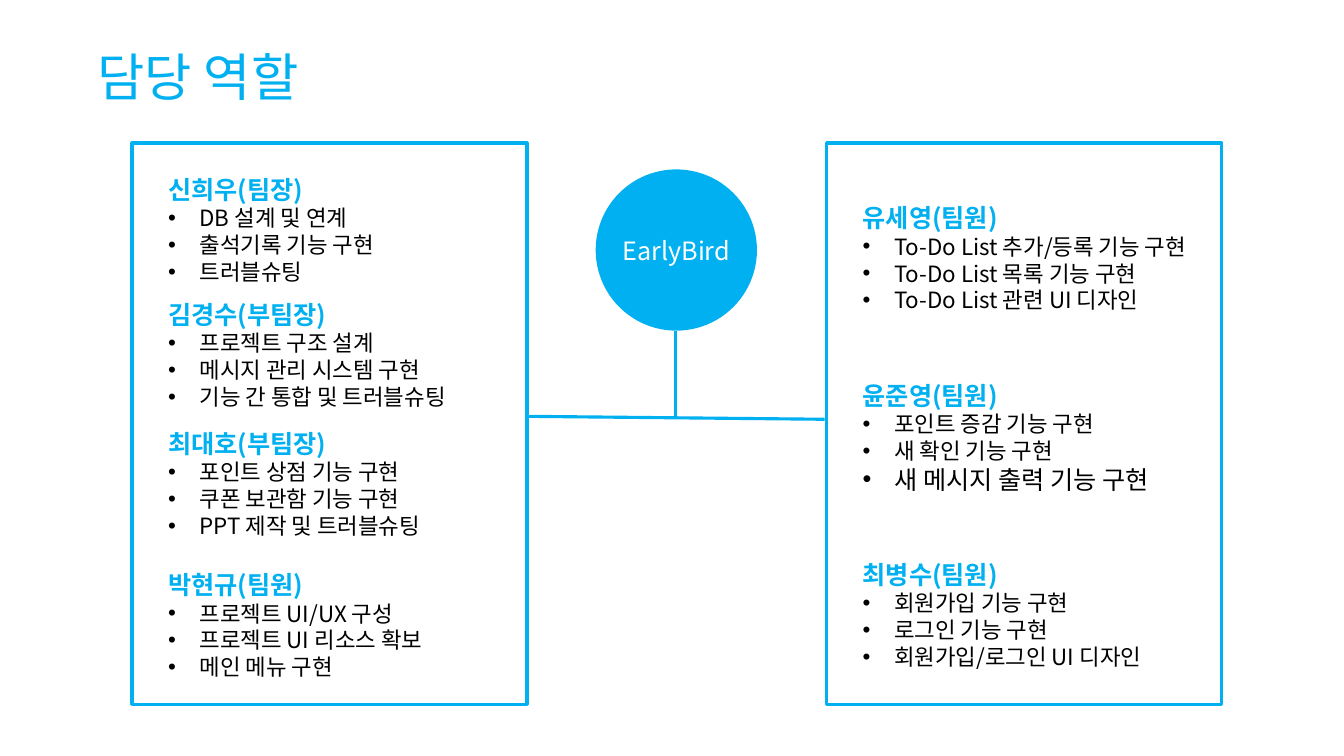
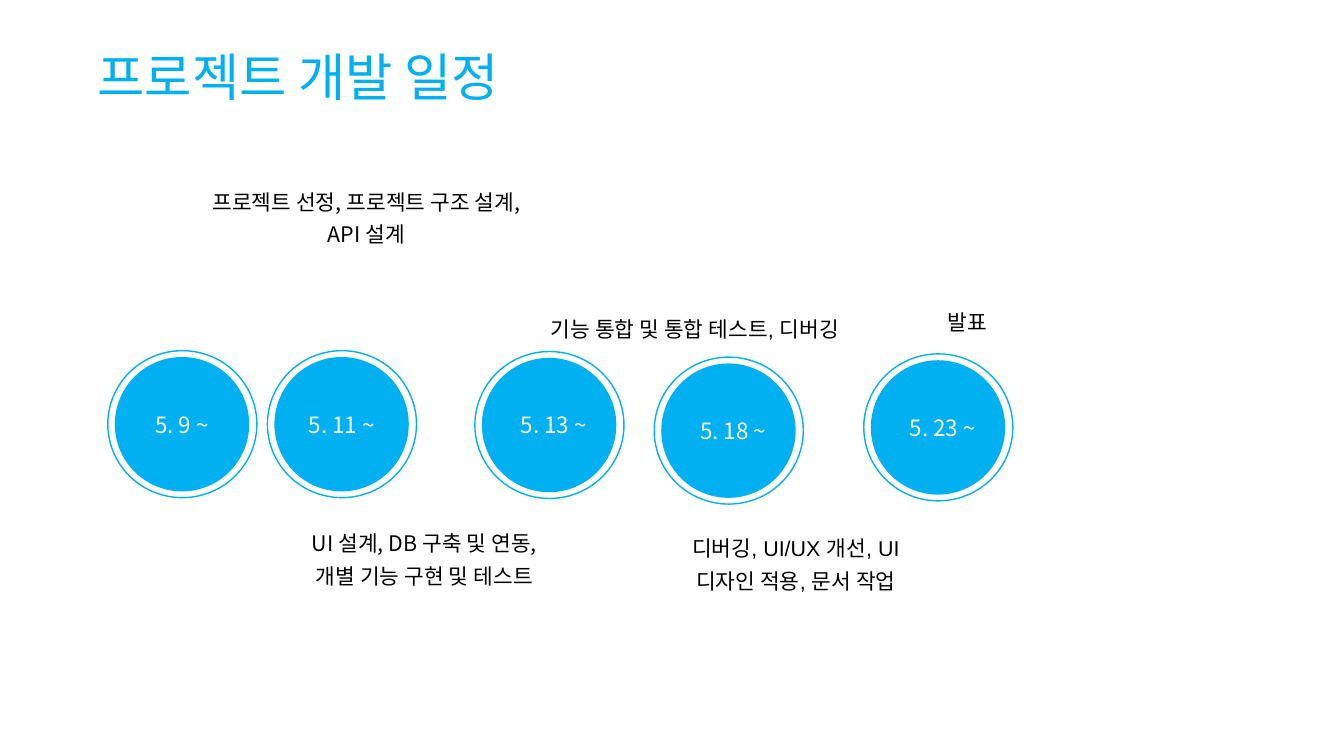
from lxml.etree import SubElement
from pptx import Presentation
from pptx.dml.color import RGBColor
from pptx.enum.shapes import MSO_CONNECTOR, MSO_SHAPE
from pptx.enum.text import MSO_ANCHOR, PP_ALIGN
from pptx.oxml.ns import qn
from pptx.util import Pt

COLORS = {"accent": "00B0F0", "body": "000000", "inverse": "FFFFFF"}
FONT = "Noto Sans CJK KR"
PANEL_TOP, PANEL_WIDTH, PANEL_HEIGHT = 102.2, 282.2, 401
PANELS = [
    (94.3, [
        (121, "신희우(팀장)", ["DB 설계 및 연계", "출석기록 기능 구현", "트러블슈팅"]),
        (210.2, "김경수(부팀장)", ["프로젝트 구조 설계", "메시지 관리 시스템 구현", "기능 간 통합 및 트러블슈팅"]),
        (302.4, "최대호(부팀장)", ["포인트 상점 기능 구현", "쿠폰 보관함 기능 구현", "PPT 제작 및 트러블슈팅"]),
        (403.2, "박현규(팀원)", ["프로젝트 UI/UX 구성", "프로젝트 UI 리소스 확보", "메인 메뉴 구현"]),
    ]),
    (590.4, [
        (141.1, "유세영(팀원)", ["To-Do List 추가/등록 기능 구현", "To-Do List 목록 기능 구현", "To-Do List 관련 UI 디자인"]),
        (267.8, "윤준영(팀원)", ["포인트 증감 기능 구현", "새 확인 기능 구현", "새 메시지 출력 기능 구현"]),
        (396, "최병수(팀원)", ["회원가입 기능 구현", "로그인 기능 구현", "회원가입/로그인 UI 디자인"]),
    ]),
]
LARGE_DUTY = "새 메시지 출력 기능 구현"
DATES = [
    (82, 255, "5. 9 ~", PP_ALIGN.CENTER),
    (196, 255, "5. 11 ~", PP_ALIGN.CENTER),
    (344.2, 255.6, "5. 13 ~", PP_ALIGN.RIGHT),
    (472.3, 259.6, "5. 18 ~", PP_ALIGN.RIGHT),
    (622, 257.3, "5. 23 ~", PP_ALIGN.RIGHT),
]
TASKS = [
    (138.2, 129.6, 247, FONT, "프로젝트 선정, 프로젝트 구조 설계, API 설계"),
    (210.2, 373.7, 185.8, FONT, "UI 설계, DB 구축 및 연동, 개별 기능 구현 및 테스트"),
    (376.6, 221, 239.8, "Arial", "기능 통합 및 통합 테스트, 디버깅"),
    (493.2, 377.3, 150.5, "Arial", "디버깅, UI/UX 개선, UI 디자인 적용, 문서 작업"),
    (664.6, 216, 53.3, "Arial", "발표"),
]


def color(name):
    return RGBColor.from_string(COLORS[name])


def format_paragraph(paragraph, size, color_name, font=FONT, bold=False, align=None, spacing=None):
    paragraph.alignment = align
    if spacing:
        paragraph.line_spacing = Pt(spacing)
    for run in paragraph.runs:
        run.font.size = Pt(size)
        run.font.name = font
        run.font.bold = bold
        run.font.color.rgb = color(color_name)
        SubElement(run.font._element, qn("a:ea"), typeface=FONT)


def add_bullet(paragraph):
    properties = paragraph._p.get_or_add_pPr()
    properties.set("marL", str(Pt(22.5)))
    properties.set("indent", str(Pt(-22.5)))
    SubElement(properties, qn("a:buFont"), typeface="Arial")
    SubElement(properties, qn("a:buChar"), char="•")


def add_text_frame(slide, left, top, width, height, margin=0):
    box = slide.shapes.add_textbox(Pt(left), Pt(top), Pt(width), Pt(height))
    text_frame = box.text_frame
    text_frame.word_wrap = True
    if not margin:
        text_frame.margin_left = text_frame.margin_right = 0
        text_frame.margin_top = text_frame.margin_bottom = 0
    return text_frame


def add_text(slide, left, top, width, height, text, size, color_name, **style):
    text_frame = add_text_frame(slide, left, top, width, height)
    text_frame.text = text
    format_paragraph(text_frame.paragraphs[0], size, color_name, **style)


def add_shape(slide, preset, left, top, width, height, line_width=None):
    shape = slide.shapes.add_shape(preset, Pt(left), Pt(top), Pt(width), Pt(height))
    shape.shadow.inherit = False
    if line_width:
        shape.fill.background()
        shape.line.color.rgb = color("accent")
        shape.line.width = Pt(line_width)
    else:
        shape.fill.solid()
        shape.fill.fore_color.rgb = color("accent")
        shape.line.fill.background()
    return shape


def add_disc(slide, left, top, diameter, text, size, align=PP_ALIGN.CENTER):
    disc = add_shape(slide, MSO_SHAPE.OVAL, left, top, diameter, diameter)
    text_frame = disc.text_frame
    text_frame.vertical_anchor = MSO_ANCHOR.MIDDLE
    text_frame.text = text
    format_paragraph(text_frame.paragraphs[0], size, "inverse", align=align)
    return disc


def add_line(slide, *ends):
    line = slide.shapes.add_connector(MSO_CONNECTOR.STRAIGHT, *map(Pt, ends))
    line.line.color.rgb = color("accent")
    line.line.width = Pt(2.25)
    SubElement(line._element.spPr, qn("a:effectLst"))


def add_member(slide, left, top, name, duties):
    text_frame = add_text_frame(slide, left, top, 272.2, 87, margin=True)
    text_frame.text = name
    format_paragraph(text_frame.paragraphs[0], 18, "accent", bold=True)
    for duty in duties:
        paragraph = text_frame.add_paragraph()
        paragraph.text = duty
        format_paragraph(paragraph, 18 if duty == LARGE_DUTY else 16, "body")
        add_bullet(paragraph)


def add_titled_slide(presentation, title):
    slide = presentation.slides.add_slide(presentation.slide_layouts[6])
    add_text(slide, 69.8, 32.4, 481, 42, title, 36.7, "accent", spacing=44)
    return slide


def build_roles(presentation):
    slide = add_titled_slide(presentation, "담당 역할")
    add_line(slide, 589, 299.5, 377.3, 297.4)
    add_line(slide, 482.4, 299.5, 482.4, 236.2)
    add_disc(slide, 425.5, 121, 115.2, "EarlyBird", 18).text_frame.word_wrap = False
    for left, members in PANELS:
        add_shape(slide, MSO_SHAPE.RECTANGLE, left, PANEL_TOP, PANEL_WIDTH, PANEL_HEIGHT, 2.25)
        for top, name, duties in members:
            add_member(slide, left + 18.7, top, name, duties)


def build_schedule(presentation):
    slide = add_titled_slide(presentation, "프로젝트 개발 일정")
    for left, top, date, align in DATES:
        add_disc(slide, left, top, 96, date, 16, align)
        add_shape(slide, MSO_SHAPE.OVAL, left - 5, top - 4.5, 106.5, 105, 1)
    for left, top, width, font, task in TASKS:
        add_text(slide, left, top, width, 47, task, 15.3, "body",
                 font=font, align=PP_ALIGN.CENTER, spacing=23.5)


def main():
    """Build the roles and schedule slides."""
    presentation = Presentation()
    presentation.slide_width, presentation.slide_height = Pt(960), Pt(540)
    build_roles(presentation)
    build_schedule(presentation)
    presentation.save("out.pptx")


if __name__ == "__main__":
    main()
